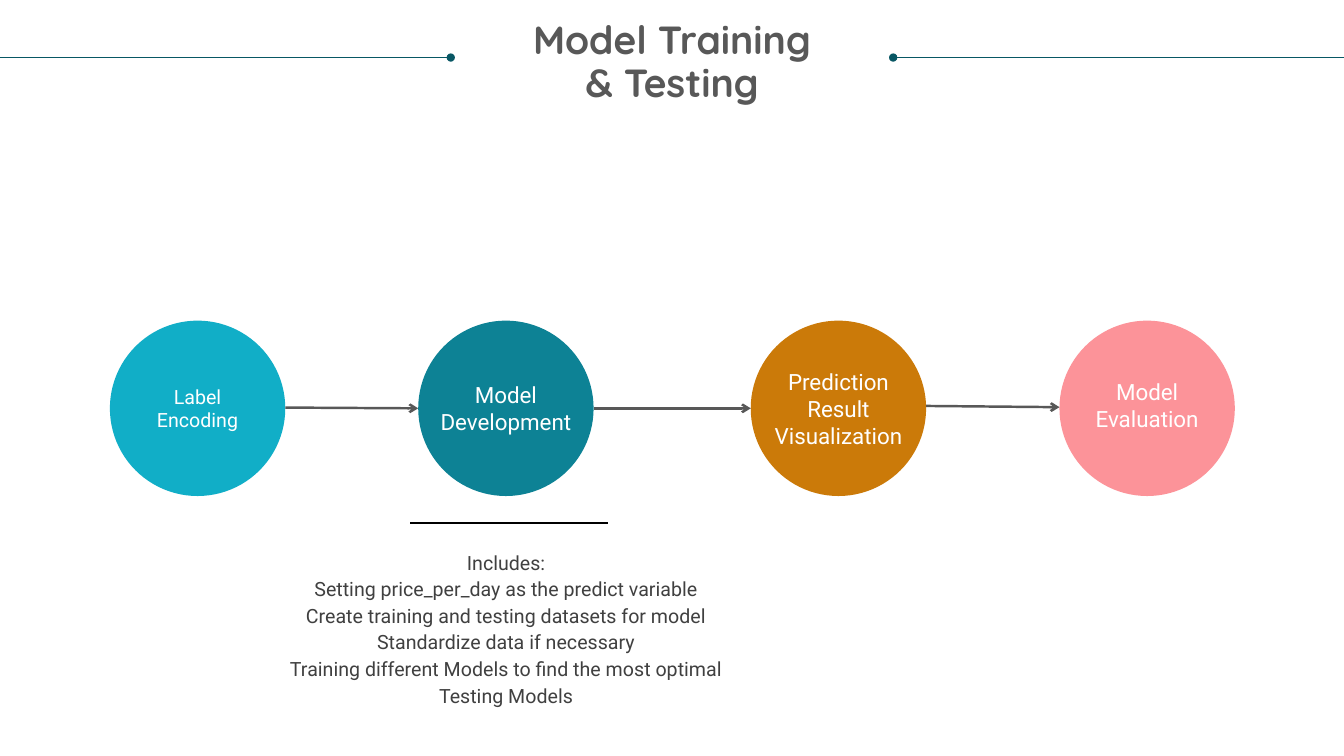
from pptx import Presentation
from pptx.dml.color import RGBColor
from pptx.enum.shapes import MSO_CONNECTOR as CONN, MSO_SHAPE as SHAPE
from pptx.enum.text import MSO_ANCHOR as ANCHOR, PP_ALIGN as ALIGN
from pptx.oxml.ns import qn
from pptx.util import Cm, Pt
from lxml.etree import SubElement

# Content
TITLE = ["Model Training", "& Testing"]
STEPS = [  # label, colour key, left edge, lines of text, label shift
    ("Label Encoding", "cyan", 2.77, 2, 0),
    ("Model Development", "teal", 10.54, 2, 0),
    ("Prediction Result Visualization", "ochre", 18.92, 3, 0),
    ("Model Evaluation", "pink", 26.7, 2, -0.08),
]
DETAILS = [
    "Includes:",
    "Setting price_per_day as the predict variable",
    "Create training and testing datasets for model",
    "Standardize data if necessary",
    "Training different Models to find the most optimal",
    "Testing Models",
]

THEME = {
    "title_font": "Quicksand", "body_font": "Roboto",
    "title_size": 28, "label_size": 16, "small_size": 14,
    "grey": "585858", "text": "404040", "white": "FFFFFF", "black": "000000",
    "rule": "085764", "cyan": "11AEC7", "teal": "0D8295",
    "ochre": "CB7A09", "pink": "FC9399",
}

# Layout in centimetres
SLIDE_W, SLIDE_H = 33.87, 19.05
RULE_Y, RULE_LEN = 1.45, 11.36
CIRCLE, CIRCLE_TOP = 4.42, 8.08
CENTRE_Y = CIRCLE_TOP + CIRCLE / 2
LABEL_W, LABEL_LINE = 3.81, 0.69
ARROW_SHIFTS = [(-0.02, 0), (0, 0), (-0.06, -0.03)]


def colour(key):
    return RGBColor.from_string(THEME[key])


def write(tf, lines, font, size, key, bold=None, spacing=None):
    tf.word_wrap = True
    for i, line in enumerate(lines):
        p = tf.paragraphs[0] if i == 0 else tf.add_paragraph()
        p.alignment = ALIGN.CENTER
        p.line_spacing = spacing
        r = p.add_run()
        r.text = line
        r.font.name, r.font.size, r.font.bold = THEME[font], Pt(THEME[size]), bold
        r.font.color.rgb = colour(key)


def add_box(s, left, top, width, height, inset=True):
    tf = s.shapes.add_textbox(Cm(left), Cm(top), Cm(width), Cm(height)).text_frame
    if not inset:
        tf.margin_left = tf.margin_top = tf.margin_right = tf.margin_bottom = 0
    return tf


def add_line(s, x1, y1, x2, y2, key, width, end=None):
    line = s.shapes.add_connector(CONN.STRAIGHT, Cm(x1), Cm(y1), Cm(x2), Cm(y2))
    line.line.color.rgb = colour(key)
    line.line.width = Pt(width)
    if end:
        SubElement(line.line._get_or_add_ln(), qn("a:tailEnd"), type=end)
    SubElement(line._element.spPr, qn("a:effectLst"))


def add_circle(s, left, key):
    sp = s.shapes.add_shape(SHAPE.OVAL, Cm(left), Cm(CIRCLE_TOP), Cm(CIRCLE), Cm(CIRCLE))
    sp.shadow.inherit = False
    sp.fill.solid()
    sp.fill.fore_color.rgb = colour(key)
    sp.line.fill.background()
    return sp


def main():
    prs = Presentation()
    prs.slide_width, prs.slide_height = Cm(SLIDE_W), Cm(SLIDE_H)
    s = prs.slides.add_slide(prs.slide_layouts[6])

    # Title between two rules that end in dots
    for edge, dot in ((0, RULE_LEN), (SLIDE_W, SLIDE_W - RULE_LEN)):
        add_line(s, edge, RULE_Y, dot, RULE_Y, "rule", 0.5, "oval")
    tf = add_box(s, 0.64, 0.53, 32.59, 3.23, inset=False)
    write(tf, TITLE, "title_font", "title_size", "grey", bold=True, spacing=0.9)

    # Step circles; the first holds its own, smaller label
    for i, (label, key, left, lines, shift) in enumerate(STEPS):
        sp = add_circle(s, left, key)
        if i == 0:
            tf, size = sp.text_frame, "small_size"
        else:
            height = lines * LABEL_LINE
            tf = add_box(s, left + (CIRCLE - LABEL_W) / 2,
                         CENTRE_Y - height / 2 + shift, LABEL_W, height, inset=False)
            size = "label_size"
        tf.vertical_anchor = ANCHOR.MIDDLE
        write(tf, [label], "body_font", size, "white")

    # Arrows from each circle to the next
    for step, following, (dy1, dy2) in zip(STEPS, STEPS[1:], ARROW_SHIFTS):
        add_line(s, step[2] + CIRCLE, CENTRE_Y + dy1, following[2], CENTRE_Y + dy2,
                 "grey", 1.75, "arrow")

    # Details of model development
    add_line(s, 10.34, 13.18, 15.32, 13.18, "black", 1)
    tf = add_box(s, 5.44, 13.67, 14.63, 4.27)
    write(tf, DETAILS, "body_font", "small_size", "text", spacing=Pt(19))

    prs.save("out.pptx")


if __name__ == "__main__":
    main()
